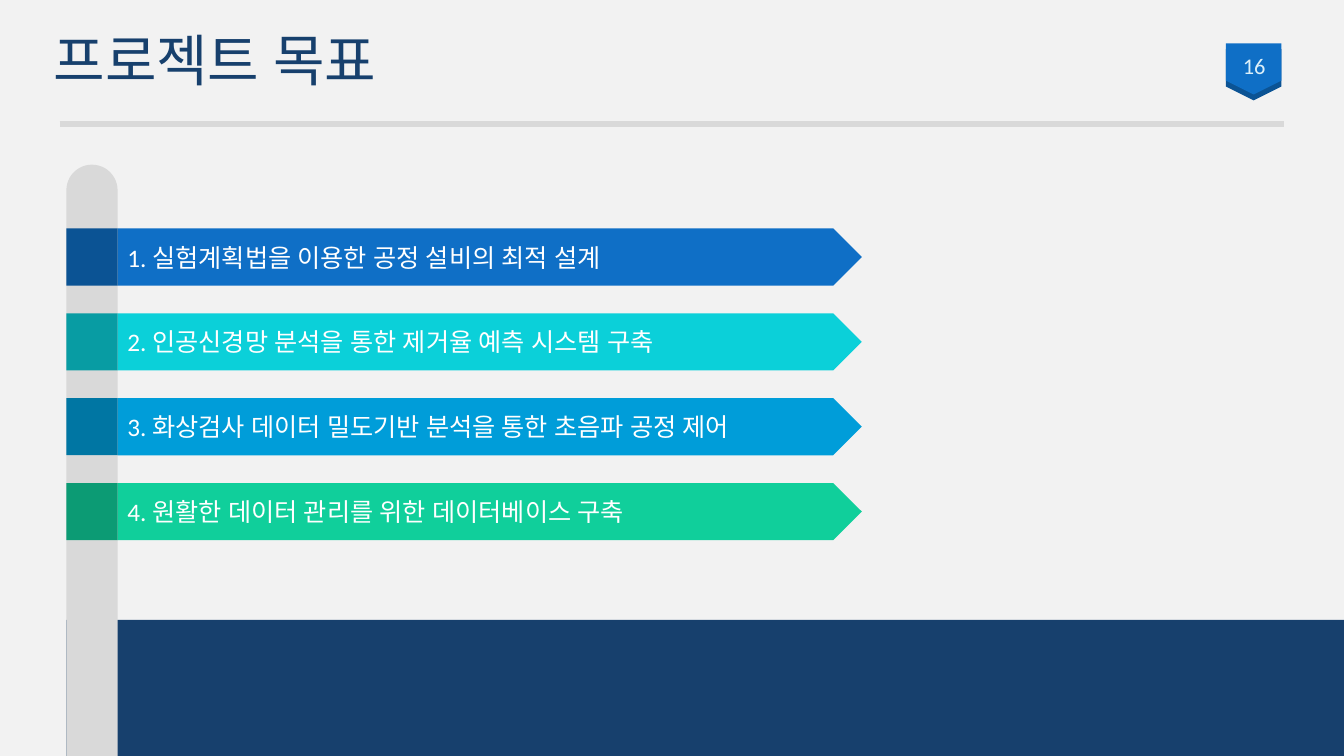
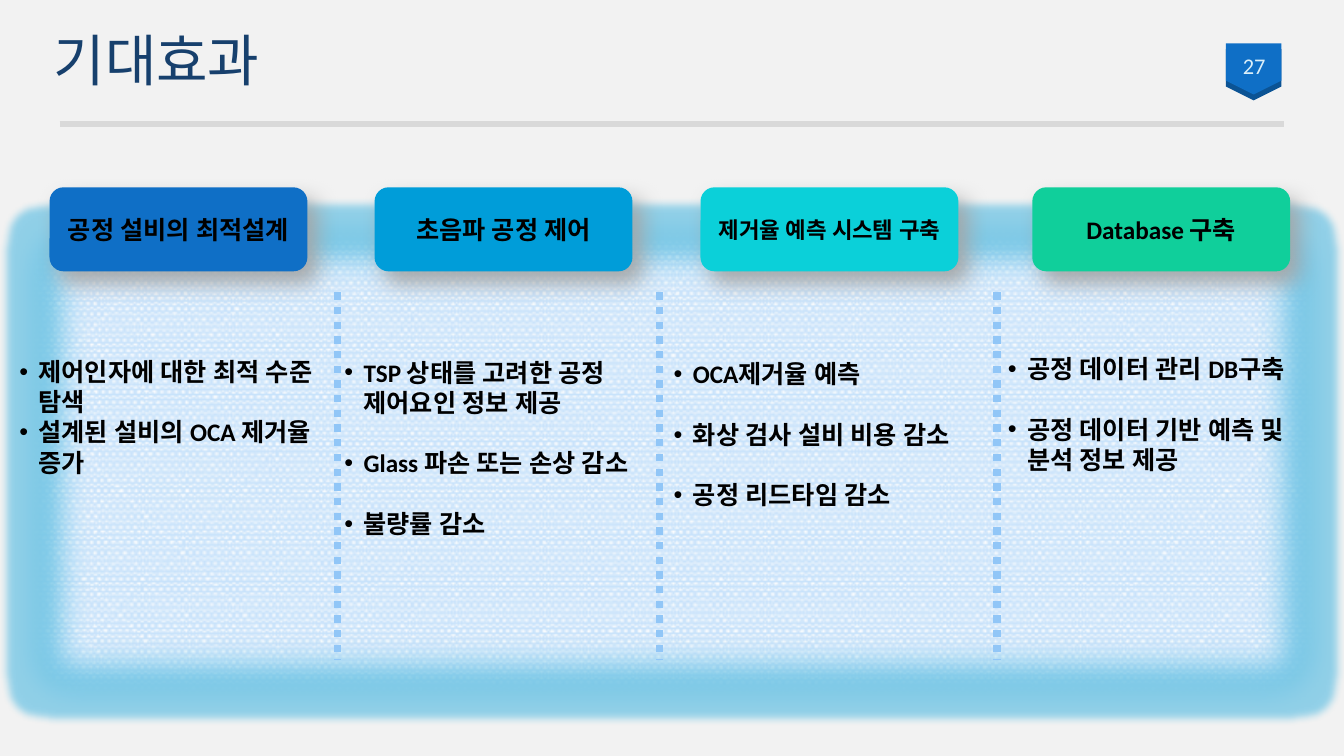
from dataclasses import dataclass

from lxml.etree import SubElement
from pptx import Presentation
from pptx.dml.color import RGBColor
from pptx.enum.dml import MSO_LINE, MSO_PATTERN
from pptx.enum.shapes import MSO_CONNECTOR, MSO_SHAPE
from pptx.enum.text import MSO_ANCHOR, MSO_AUTO_SIZE, PP_ALIGN
from pptx.oxml.ns import qn
from pptx.util import Inches, Pt


@dataclass(frozen=True)
class Theme:
    # Colours
    back: str = "F2F2F2"
    grey: str = "D9D9D9"
    navy: str = "17406D"
    blue: str = "0F6FC6"
    blue_dark: str = "0B5394"
    sky: str = "009DD9"
    sky_dark: str = "0076A3"
    cyan: str = "0BD0D9"
    cyan_dark: str = "089CA3"
    green: str = "10CF9B"
    green_dark: str = "0C9B74"
    pale: str = "DBEFF9"
    weave: str = "C8E3FB"
    edge: str = "BBCBF2"
    dots: str = "91C6F7"
    shade: str = "A6A6A6"
    white: str = "FFFFFF"
    black: str = "000000"
    # Type
    head_font: str = "Roboto"
    text_font: str = "Calibri"
    asian_font: str = "Roboto"
    head: int = 40
    text: int = 18
    small: int = 16
    blank_line: float = 21.6


T = Theme()
COLS, ROWS = 16, 9  # the slide is a grid of square cells
CELL = Inches(7.5) / ROWS


def cells(*values):
    return [round(v * CELL) for v in values]


def rgb(code):
    return RGBColor.from_string(code)


def write(tf, *texts, size=T.text, color=T.black, font=T.text_font, bold=False,
          align=PP_ALIGN.LEFT, anchor=MSO_ANCHOR.MIDDLE, leading=1.0, after=0, bullet=None):
    """Fill a text frame with one paragraph per text."""
    tf.word_wrap = True
    tf.auto_size = MSO_AUTO_SIZE.NONE
    tf.vertical_anchor = anchor
    for i, text in enumerate(texts):
        p = tf.add_paragraph() if i else tf.paragraphs[0]
        p.alignment, p.line_spacing = align, leading
        p.space_before, p.space_after = Pt(0), Pt(after)
        r = p.add_run()
        r.text = text
        r.font.name, r.font.size, r.font.bold = font, Pt(size), bold
        r.font.color.rgb = rgb(color)
        SubElement(r.font._element, qn("a:ea")).set("typeface", T.asian_font)
        if bullet:
            pPr = p._p.get_or_add_pPr()
            pPr.set("marL", str(Inches(0.19)))
            pPr.set("indent", str(-Inches(0.19)))
            SubElement(pPr, qn("a:buFont")).set("typeface", "Arial")
            SubElement(pPr, qn("a:buChar")).set("char", bullet)


def add_effect(sp, kind, color=None, alpha=100, **attrs):
    """Append an effect to a shape's effect list."""
    spPr = sp._element.spPr
    effects = spPr.find(qn("a:effectLst"))
    if effects is None:
        effects = SubElement(spPr, qn("a:effectLst"))
    effect = SubElement(effects, qn(f"a:{kind}"))
    for name, value in attrs.items():
        effect.set(name, str(value))
    if color:
        clr = SubElement(effect, qn("a:srgbClr"))
        clr.set("val", color)
        SubElement(clr, qn("a:alpha")).set("val", str(alpha * 1000))


class Deck:
    def __init__(self):
        self.prs = Presentation()
        self.prs.slide_width, self.prs.slide_height = cells(COLS, ROWS)
        fill = self.prs.slide_master.background.fill
        fill.solid()
        fill.fore_color.rgb = rgb(T.back)
        self.slide = None

    def new_slide(self, layout, title, number):
        """Start a slide with its title, rule and numbered badge."""
        self.slide = self.prs.slides.add_slide(self.prs.slide_layouts.get_by_name(layout))
        sp = self.place(self.slide.shapes.title, 0.52, 0.19, 13.03, 1.12)
        write(sp.text_frame, title, size=T.head, color=T.navy, font=T.head_font, leading=0.9)
        self.line(0.71, 1.48, 15.29, 1.48, T.grey, 4)
        for y, color in ((0.56, T.blue_dark), (0.49, T.blue)):
            sp = self.shape(MSO_SHAPE.PENTAGON, 14.62, y, 0.61, 0.66, color, adj=[0.27])
            sp.rotation = 90
        sp = self.slide.shapes.add_textbox(*cells(14.5, 0.54, 0.86, 0.48))
        write(sp.text_frame, number, size=T.small, color=T.pale, align=PP_ALIGN.CENTER)

    def place(self, sp, *box):
        sp.left, sp.top, sp.width, sp.height = cells(*box)
        return sp

    def shape(self, kind, x, y, w, h, color, adj=()):
        sp = self.slide.shapes.add_shape(kind, *cells(x, y, w, h))
        sp.shadow.inherit = False
        sp.fill.solid()
        sp.fill.fore_color.rgb = rgb(color)
        sp.line.fill.background()
        for i, value in enumerate(adj):
            sp.adjustments[i] = value
        return sp

    def line(self, x1, y1, x2, y2, color, width, dash=None):
        ln = self.slide.shapes.add_connector(MSO_CONNECTOR.STRAIGHT, *cells(x1, y1, x2, y2))
        ln.line.color.rgb = rgb(color)
        ln.line.width = Pt(width)
        if dash:
            ln.line.dash_style = dash
        SubElement(ln._element.spPr, qn("a:effectLst"))

    def signpost(self, y, text, color, dark):
        """An arrow on the pole, with a darker end."""
        sp = self.shape(MSO_SHAPE.PENTAGON, 1.4, y, 8.86, 0.68, color)
        write(sp.text_frame, text, color=T.white)
        self.shape(MSO_SHAPE.RECTANGLE, 0.79, y, 0.61, 0.68, dark)

    def panel(self, *box):
        """A woven panel with soft, glowing edges, behind everything else."""
        sp = self.shape(MSO_SHAPE.RECTANGLE, *box, T.weave)
        sp.fill.patterned()
        sp.fill.pattern = MSO_PATTERN.PERCENT_80
        sp.fill.fore_color.rgb, sp.fill.back_color.rgb = rgb(T.weave), rgb(T.white)
        sp.line.color.rgb = rgb(T.edge)
        sp.line.width = Pt(1)
        add_effect(sp, "glow", T.sky, 40, rad=Pt(11))
        add_effect(sp, "softEdge", rad=Pt(25))
        self.slide.shapes.title._element.addprevious(sp._element)

    def card(self, x, text, color, size):
        sp = self.shape(MSO_SHAPE.ROUNDED_RECTANGLE, x, 2.23, 3.07, 1, color)
        add_effect(sp, "outerShdw", T.shade, 92, blurRad=Pt(16), dist=Pt(11), dir=53 * 60000)
        write(sp.text_frame, text, size=size, bold=True, align=PP_ALIGN.CENTER)

    def bullets(self, body, box, items, after):
        self.place(body, *box)
        write(body.text_frame, *items, bold=True, anchor=MSO_ANCHOR.TOP, after=after, bullet="•")


def goals(deck):
    deck.new_slide("Title Only", "프로젝트 목표", "16")
    # Ground and pole
    deck.shape(MSO_SHAPE.RECTANGLE, 0.79, 7.38, 15.21, 1.62, T.navy)
    deck.shape(MSO_SHAPE.ROUND_2_SAME_RECTANGLE, 0.79, 1.96, 0.61, 7.04, T.grey, adj=[0.5, 0])
    # One signpost per row
    signs = [
        ("1. 실험계획법을 이용한 공정 설비의 최적 설계", T.blue, T.blue_dark),
        ("2. 인공신경망 분석을 통한 제거율 예측 시스템 구축", T.cyan, T.cyan_dark),
        ("3. 화상검사 데이터 밀도기반 분석을 통한 초음파 공정 제어", T.sky, T.sky_dark),
        ("4. 원활한 데이터 관리를 위한 데이터베이스 구축", T.green, T.green_dark),
    ]
    for i, sign in enumerate(signs):
        deck.signpost(2.72 + 1.01 * i, *sign)


def effects(deck):
    deck.new_slide("Comparison", "기대효과", "27")
    deck.panel(0.24, 2.6, 15.54, 5.81)
    for x in (4.02, 7.85, 11.87):
        deck.line(x, 3.48, x, 7.86, T.dots, 5.25, MSO_LINE.ROUND_DOT)
    # Card (left, text, colour, size), list box, list gap, list items
    columns = [
        ((0.59, "공정 설비의 최적설계", T.blue, T.text), (0.11, 4.18, 3.91, 1.57), 0,
         ["제어인자에 대한 최적 수준 탐색", "설계된 설비의 OCA 제거율 증가"]),
        ((4.46, "초음파 공정 제어", T.sky, T.text), (3.98, 4.19, 3.86, 2.3), T.blank_line,
         ["TSP 상태를 고려한 공정 제어요인 정보 제공", "Glass 파손 또는 손상 감소", "불량률 감소"]),
        ((8.34, "제거율 예측 시스템 구축", T.cyan, T.small), (7.9, 4.21, 3.96, 1.94), T.blank_line,
         ["OCA제거율 예측", "화상 검사 설비 비용 감소", "공정 리드타임 감소"]),
        ((12.29, "Database 구축", T.green, T.text), (11.88, 4.15, 4.12, 1.57), T.blank_line,
         ["공정 데이터 관리 DB구축", "공정 데이터 기반 예측 및 분석 정보 제공"]),
    ]
    bodies = list(deck.slide.placeholders)[1:]
    for body, (card, box, gap, items) in zip(bodies, columns):
        deck.card(*card)
        deck.bullets(body, box, items, gap)


def main():
    deck = Deck()
    goals(deck)
    effects(deck)
    deck.prs.save("out.pptx")


if __name__ == "__main__":
    main()
